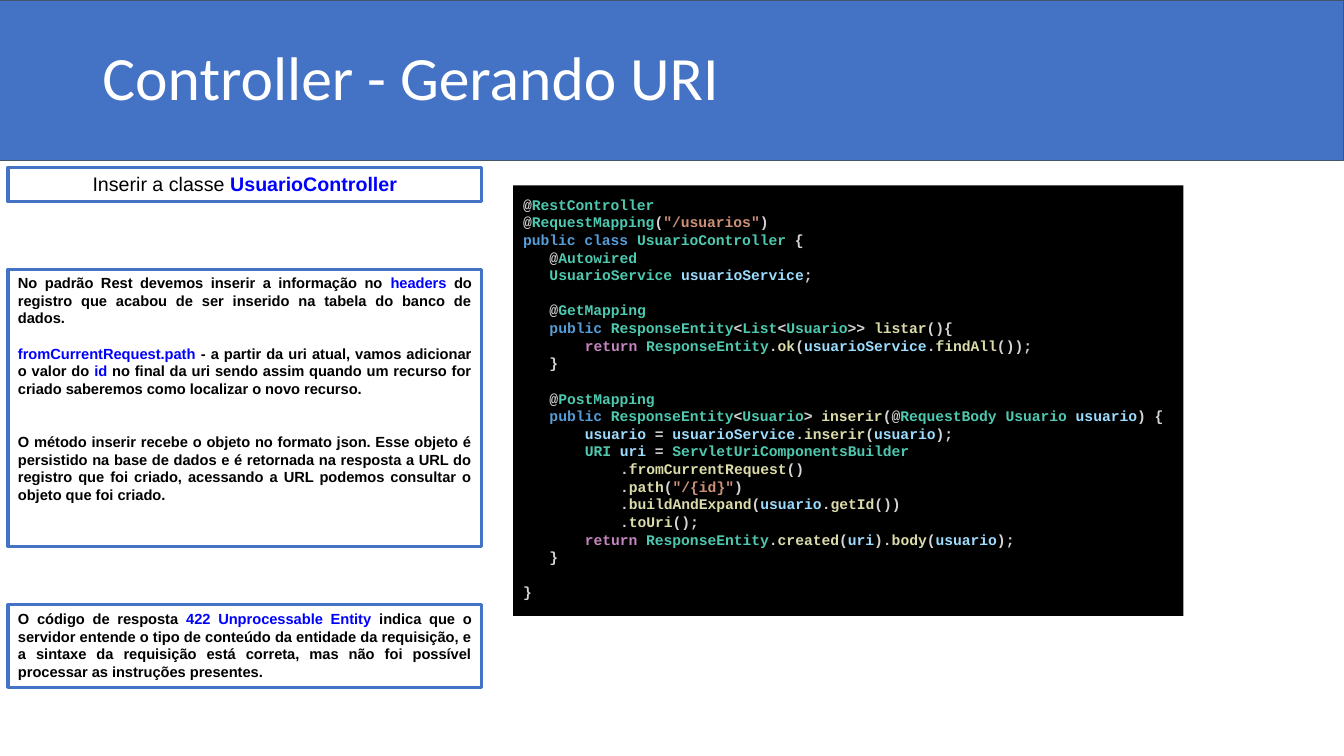
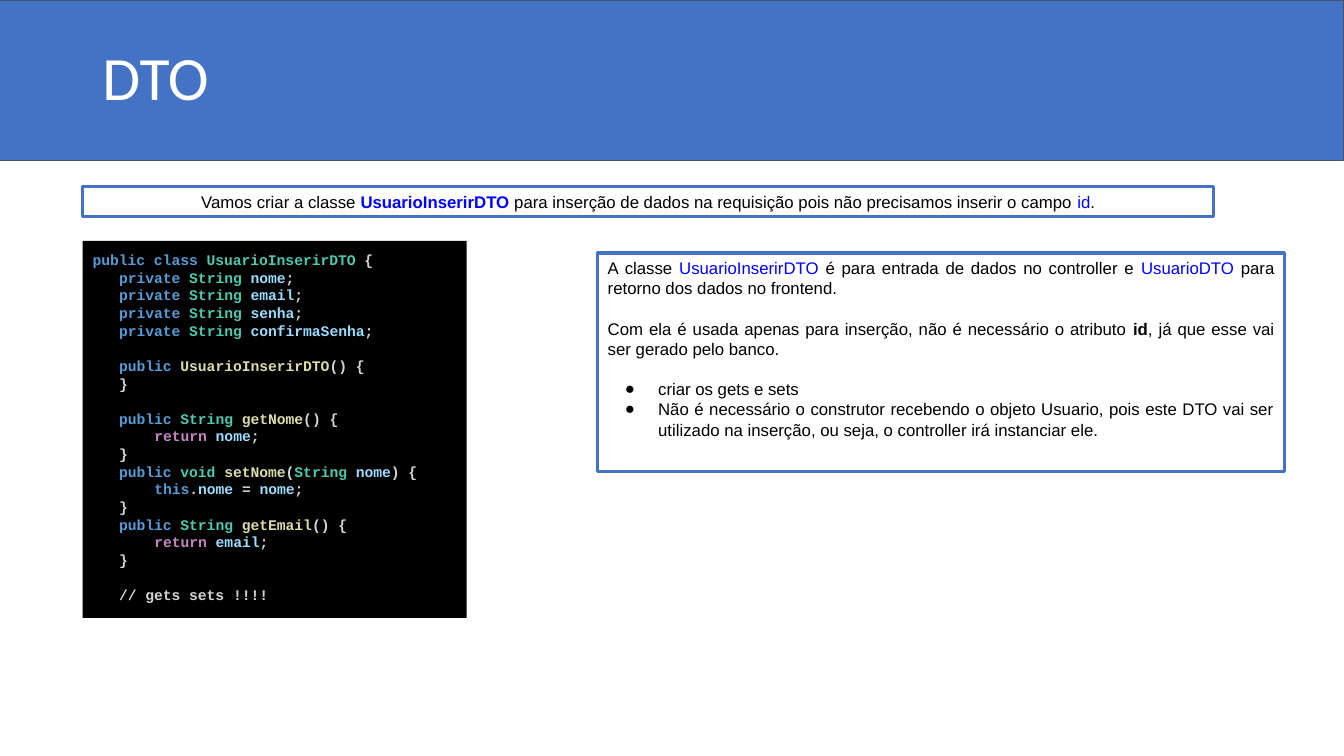
from itertools import groupby

from lxml import etree
from pptx import Presentation, util as u
from pptx.dml.color import RGBColor
from pptx.enum import shapes, text
from pptx.oxml.ns import qn

WIDTH, HEIGHT = u.Inches(13.333), u.Inches(7.5)
BLUE, SLATE, WHITE, BLACK, LINK = "4472C4", "44546A", "FFFFFF", "000000", "0000FF"
PLAIN, KEYWORD, CONTROL = "D4D4D4", "569CD6", "C586C0"
TYPE, VARIABLE, FUNCTION, STRING = "4EC9B0", "9CDCFE", "DCDCAA", "CE9178"
KEYWORDS = {"public", "private", "class", "this"}
CODE_SIZE = 10.5
LINE_RATIO = 1.2
CODE_CHAR_RATIO = 0.6

CONTROLLER_CODE = """
@RestController
@RequestMapping("/usuarios")
public class UsuarioController {
   @Autowired
   UsuarioService usuarioService;

   @GetMapping
   public ResponseEntity<List<Usuario>> listar(){
       return ResponseEntity.ok(usuarioService.findAll());
   }

   @PostMapping
   public ResponseEntity<Usuario> inserir(@RequestBody Usuario usuario) {
       usuario = usuarioService.inserir(usuario);
       URI uri = ServletUriComponentsBuilder
           .fromCurrentRequest()
           .path("/{id}")
           .buildAndExpand(usuario.getId())
           .toUri();
       return ResponseEntity.created(uri).body(usuario);
   }

}
"""

DTO_CODE = """
public class UsuarioInserirDTO {
   private String nome;
   private String email;
   private String senha;
   private String confirmaSenha;

   public UsuarioInserirDTO() {
   }

   public String getNome() {
       return nome;
   }
   public void setNome(String nome) {
       this.nome = nome;
   }
   public String getEmail() {
       return email;
   }

   // gets sets !!!!
"""

REST_NOTE = """
No padrão Rest devemos inserir a informação no ~headers~ do registro que acabou de ser inserido na tabela do banco de dados.

~fromCurrentRequest.path~ - a partir da uri atual, vamos adicionar o valor do ~id~ no final da uri sendo assim quando um recurso for criado saberemos como localizar o novo recurso.


O método inserir recebe o objeto no formato json. Esse objeto é persistido na base de dados e é retornada na resposta a URL do registro que foi criado, acessando a URL podemos consultar o objeto que foi criado.
"""

STATUS_NOTE = """
O código de resposta ~422 Unprocessable Entity~ indica que o servidor entende o tipo de conteúdo da entidade da requisição, e a sintaxe da requisição está correta, mas não foi possível processar as instruções presentes.
"""

DTO_NOTE = """
A classe ~UsuarioInserirDTO~ é para entrada de dados no controller e ~UsuarioDTO~ para retorno dos dados no frontend.

Com ela é usada apenas para inserção, não é necessário o atributo *id*, já que esse vai ser gerado pelo banco.

● criar os gets e sets
● Não é necessário o construtor recebendo o objeto Usuario, pois este DTO vai ser utilizado na inserção, ou seja, o controller irá instanciar ele.
"""


def color(value):
    """Turn a hex string into a colour."""
    return RGBColor.from_string(value)


def add_box(page, area, fill, line=None, weight=2.25, margin=0.05):
    """Add a rectangle whose area is given in percent of the slide."""
    left, top, width, height = area
    box = page.shapes.add_shape(
        shapes.MSO_SHAPE.RECTANGLE,
        int(WIDTH * left / 100), int(HEIGHT * top / 100),
        int(WIDTH * width / 100), int(HEIGHT * height / 100))
    box.shadow.inherit = False
    box.fill.solid()
    box.fill.fore_color.rgb = color(fill)
    if line:
        box.line.color.rgb = color(line)
        box.line.width = u.Pt(weight)
    else:
        box.line.fill.background()
    frame = box.text_frame
    frame.word_wrap = True
    frame.vertical_anchor = text.MSO_ANCHOR.TOP
    frame.margin_left = frame.margin_right = u.Inches(0.1)
    frame.margin_top = frame.margin_bottom = u.Inches(margin)
    return box


def add_span(para, words, font, size, ink, bold=False):
    """Add one formatted run."""
    span = para.add_run()
    span.text = words
    span.font.name = font
    span.font.size = u.Pt(size)
    span.font.color.rgb = color(ink)
    span.font.bold = bold


def add_paragraphs(frame, content, size, align):
    """Yield a paragraph for each line, turning empty lines into space before it."""
    para, gap = None, 0
    for line in content.strip().splitlines():
        if not line:
            gap += 1
            continue
        para = frame.add_paragraph() if para is not None else frame.paragraphs[0]
        para.alignment = align
        para.space_before = u.Pt(gap * size * LINE_RATIO)
        gap = 0
        yield para, line


def set_indent(para, left, first=0):
    """Set the left and first-line indents of a paragraph."""
    properties = para._p.get_or_add_pPr()
    properties.set("marL", str(int(left)))
    properties.set("indent", str(int(first)))
    return properties


def set_bullet(para, symbol):
    """Give a paragraph a hanging black bullet."""
    properties = set_indent(para, u.Inches(0.5), u.Inches(-0.33))
    ink = etree.SubElement(properties, qn("a:buClr"))
    etree.SubElement(ink, qn("a:srgbClr"), val=BLACK)
    etree.SubElement(properties, qn("a:buFont"), typeface="Arial")
    etree.SubElement(properties, qn("a:buChar"), char=symbol)


def add_note(page, area, content, size, bold=False, align=text.PP_ALIGN.JUSTIFY):
    """Add a framed note where ~ marks blue words and * marks bold words."""
    frame = add_box(page, area, WHITE, BLUE).text_frame
    for para, line in add_paragraphs(frame, content, size, align):
        if line.startswith("● "):
            set_bullet(para, "●")
            line = line[2:]
        for blue, part in enumerate(line.split("~")):
            for strong, words in enumerate(part.split("*")):
                if words:
                    ink = LINK if blue % 2 else BLACK
                    add_span(para, words, "Arial", size, ink, bold or strong % 2 == 1)


def split_code(line):
    """Split a code line into words, punctuation and quoted strings."""
    if line.startswith("//"):
        return [line]
    tokens = []
    for quoted, part in enumerate(line.split('"')):
        if quoted % 2:
            tokens.append(f'"{part}"')
        else:
            tokens += ["".join(group) for _, group in groupby(part, str.isalnum)]
    return tokens


def code_color(before, token, after):
    """Choose the syntax colour of a token from its neighbours."""
    if token.startswith('"'):
        return STRING
    if not token.isalnum():
        return PLAIN
    if token in KEYWORDS:
        return KEYWORD
    if token == "return":
        return CONTROL
    if after.startswith("(") and not before.endswith("@"):
        return FUNCTION
    return TYPE if token[0].isupper() or token == "void" else VARIABLE


def add_code(page, area, content):
    """Add a black panel with highlighted code."""
    frame = add_box(page, area, BLACK, margin=0.1).text_frame
    for para, line in add_paragraphs(frame, content, CODE_SIZE, text.PP_ALIGN.LEFT):
        code = line.lstrip()
        set_indent(para, u.Pt((len(line) - len(code)) * CODE_SIZE * CODE_CHAR_RATIO))
        tokens = split_code(code)
        for before, token, after in zip([""] + tokens, tokens, tokens[1:] + [""]):
            ink = code_color(before, token, after)
            add_span(para, token, "Courier New", CODE_SIZE, ink, True)


def add_page(deck, title):
    """Add a blank slide with the title band."""
    page = deck.slides.add_slide(deck.slide_layouts[6])
    add_box(page, (0, 0, 100, 21.2), BLUE, SLATE, 0.75)
    box = page.shapes.add_textbox(
        int(WIDTH * 0.0688), int(HEIGHT * 0.0093), int(WIDTH * 0.8625), int(HEIGHT * 0.1933))
    box.text_frame.word_wrap = True
    box.text_frame.vertical_anchor = text.MSO_ANCHOR.MIDDLE
    para = box.text_frame.paragraphs[0]
    para.line_spacing = 0.9
    add_span(para, title, "Calibri", 44, WHITE)
    return page


def main():
    """Build and save the deck."""
    deck = Presentation()
    deck.slide_width, deck.slide_height = WIDTH, HEIGHT
    center = text.PP_ALIGN.CENTER

    page = add_page(deck, "Controller - Gerando URI")
    add_code(page, (38.18, 24.53, 49.88, 56.93), CONTROLLER_CODE)
    left, width = 0.6, 35.25
    add_note(page, (left, 22.13, width, 4.53),
             "Inserir a classe ~*UsuarioController*~", 14, align=center)
    add_note(page, (left, 35.6, width, 36.67), REST_NOTE, 10.5, bold=True)
    add_note(page, (left, 80, width, 10.93), STATUS_NOTE, 10.5, bold=True)

    page = add_page(deck, "DTO")
    left = 6.15
    add_note(page, (left, 24.67, 84.15, 4),
             "Vamos criar a classe ~*UsuarioInserirDTO*~ para inserção de dados na requisição "
             "pois não precisamos inserir o campo ~id~.", 12, align=center)
    add_note(page, (44.48, 33.47, 51.08, 28.93), DTO_NOTE, 12)
    add_code(page, (left, 31.87, 28.58, 49.87), DTO_CODE)

    deck.save("out.pptx")


if __name__ == "__main__":
    main()
